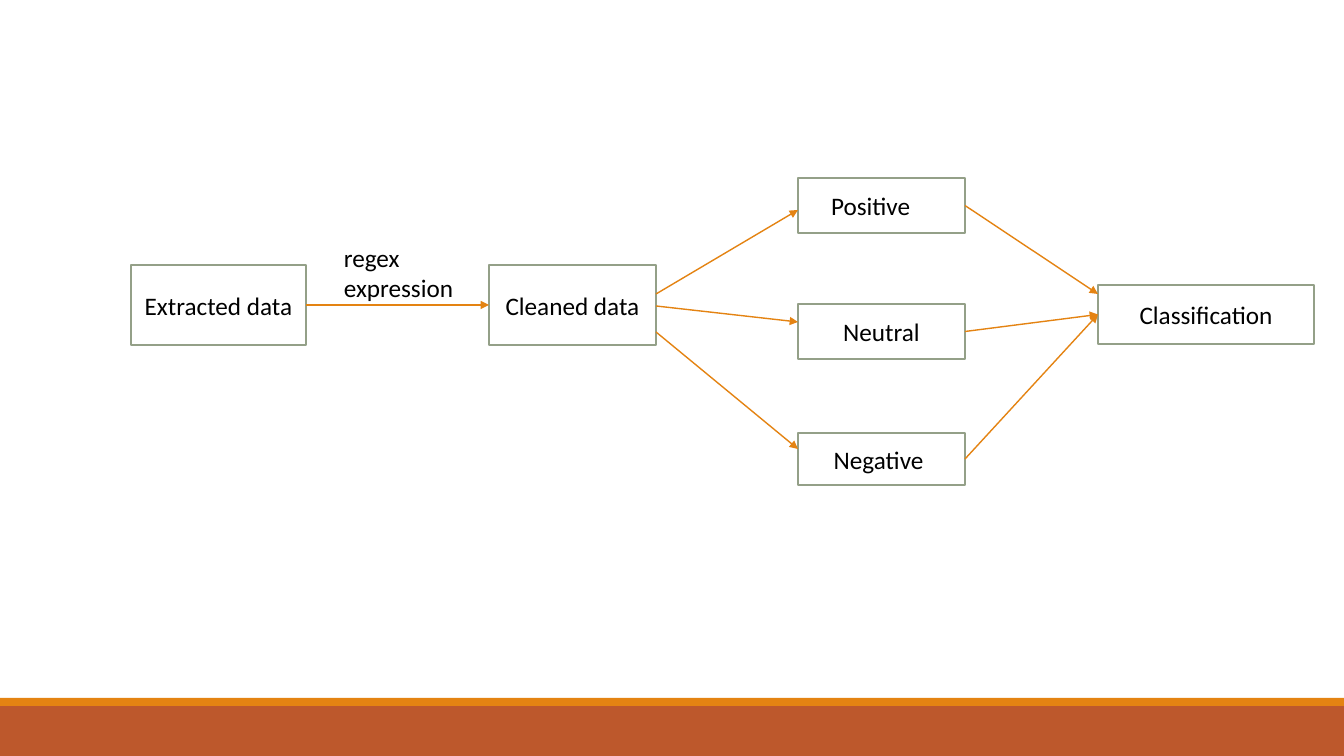
from lxml import etree
from pptx import Presentation
from pptx.dml.color import RGBColor
from pptx.enum.shapes import MSO_CONNECTOR, MSO_SHAPE
from pptx.enum.text import MSO_ANCHOR, PP_ALIGN
from pptx.oxml.ns import qn
from pptx.util import Pt

# Content: lengths in px
SLIDE_W, SLIDE_H = 1344, 756
STAGES = {  # text: left, top, width, height
    "Extracted data": (131, 265, 175, 80),
    "Cleaned data": (489, 265, 167, 80),
    "Positive\t": (798, 178, 167, 55),
    "Neutral": (798, 304, 167, 55),
    "Negative ": (798, 433, 167, 52),
    "Classification": (1098, 285, 216, 59),
}
MIDDLE = None
FLOWS = [  # from, to, start y, end y (MIDDLE joins the side's middle)
    ("Extracted data", "Cleaned data", MIDDLE, MIDDLE),
    ("Cleaned data", "Positive\t", 294, 210),
    ("Cleaned data", "Neutral", 306, 322),
    ("Cleaned data", "Negative ", 332, 449),
    ("Positive\t", "Classification", MIDDLE, 294),
    ("Neutral", "Classification", MIDDLE, MIDDLE),
    ("Negative ", "Classification", MIDDLE, MIDDLE),
]
STEP_LABEL = "regex expression"
STEP_LABEL_BOX = (334, 237, 167, 72)

BLACK = RGBColor(0x00, 0x00, 0x00)
WHITE = RGBColor(0xFF, 0xFF, 0xFF)
SAGE = RGBColor(0x94, 0xA0, 0x88)
ORANGE = RGBColor(0xE4, 0x83, 0x12)
RUST = RGBColor(0xBD, 0x58, 0x2C)
FOOTER_BANDS = [((0, 706, SLIDE_W, 50), RUST), ((0, 698, SLIDE_W, 8), ORANGE)]

RECTANGLE = MSO_SHAPE.RECTANGLE
STRAIGHT = MSO_CONNECTOR.STRAIGHT
CENTER, MIDDLE_ANCHOR = PP_ALIGN.CENTER, MSO_ANCHOR.MIDDLE
LEFT_SIDE, RIGHT_SIDE = 1, 3
EMU_PER_PX = 914400 / 100.8


def emu(*lengths):
    return [round(length * EMU_PER_PX) for length in lengths]


def add_rectangle(slide, box, fill, outline=None):
    rectangle = slide.shapes.add_shape(RECTANGLE, *emu(*box))
    rectangle.shadow.inherit = False
    rectangle.fill.solid()
    rectangle.fill.fore_color.rgb = fill
    if outline is None:
        rectangle.line.fill.background()
    else:
        rectangle.line.color.rgb = outline
        rectangle.line.width = Pt(1.25)
    return rectangle


def write(frame, text):
    frame.word_wrap = True
    paragraph = frame.paragraphs[0]
    paragraph.text = text
    paragraph.font.name = "Calibri"
    paragraph.font.size = Pt(18)
    paragraph.font.color.rgb = BLACK
    return paragraph


def add_stage(slide, text, box):
    stage = add_rectangle(slide, box, WHITE, SAGE)
    stage.text_frame.vertical_anchor = MIDDLE_ANCHOR
    write(stage.text_frame, text).alignment = CENTER
    return stage


def add_flow(slide, stages, source, target, start_y, end_y):
    left, _, width, _ = STAGES[source]
    ends = emu(left + width, start_y or 0, STAGES[target][0], end_y or 0)
    arrow = slide.shapes.add_connector(STRAIGHT, *ends)
    if start_y is MIDDLE:
        arrow.begin_connect(stages[source], RIGHT_SIDE)
    if end_y is MIDDLE:
        arrow.end_connect(stages[target], LEFT_SIDE)
    arrow.line.color.rgb = ORANGE
    arrow.line.width = Pt(1)
    # Arrowhead, and no shadow
    etree.SubElement(arrow.line._get_or_add_ln(), qn("a:tailEnd"), type="triangle")
    etree.SubElement(arrow._element.spPr, qn("a:effectLst"))


def main():
    deck = Presentation()
    deck.slide_width, deck.slide_height = emu(SLIDE_W, SLIDE_H)
    slide = deck.slides.add_slide(deck.slide_layouts[6])

    # Footer bands
    for box, color in FOOTER_BANDS:
        add_rectangle(slide, box, color)

    # Stages and the flows between them
    stages = {text: add_stage(slide, text, box) for text, box in STAGES.items()}
    for flow in FLOWS:
        add_flow(slide, stages, *flow)

    # Label over the first flow
    label = slide.shapes.add_textbox(*emu(*STEP_LABEL_BOX))
    write(label.text_frame, STEP_LABEL)

    deck.save("out.pptx")


if __name__ == "__main__":
    main()
